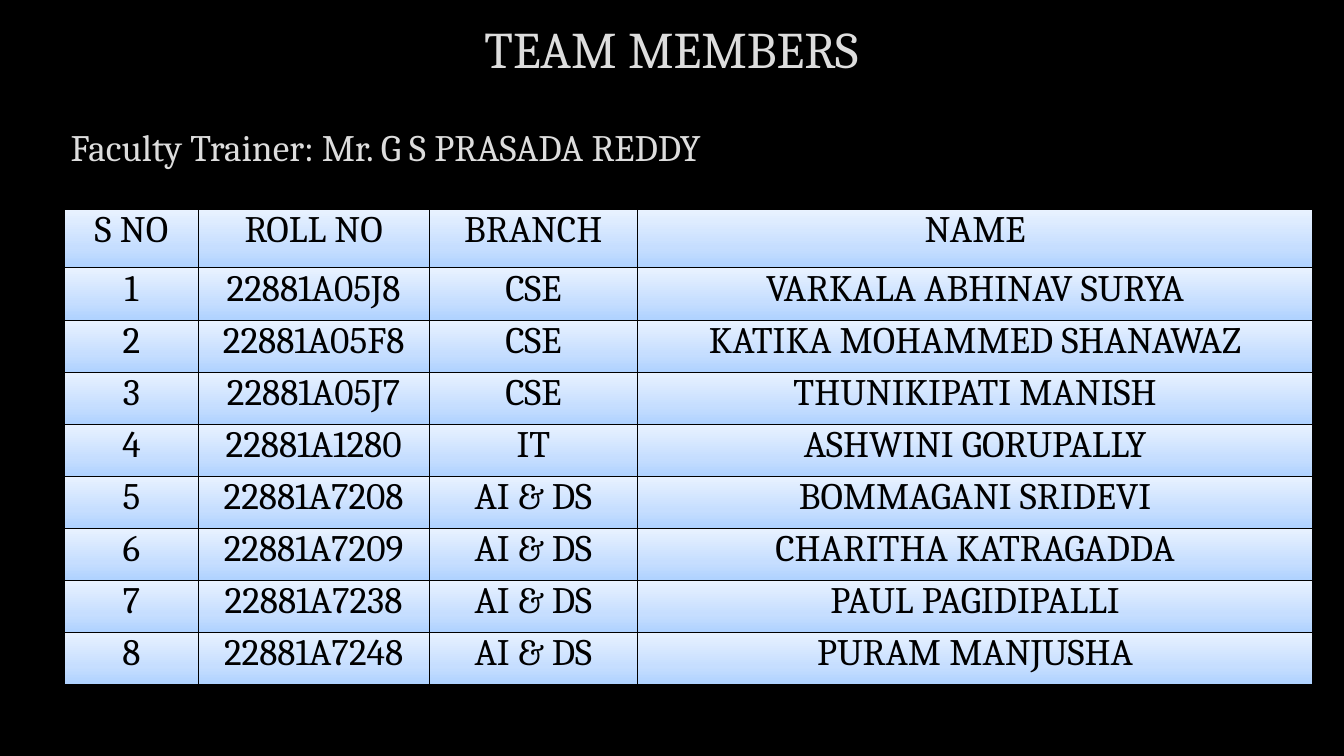
from lxml.etree import SubElement
from pptx import Presentation
from pptx.dml.color import RGBColor
from pptx.enum.text import MSO_AUTO_SIZE as AutoSize, PP_ALIGN as Align
from pptx.oxml.ns import qn
from pptx.util import Inches, Pt

BLACK = RGBColor(0x00, 0x00, 0x00)
LIGHT_GREY = RGBColor(0xDD, 0xDD, 0xDD)
BLUE = RGBColor(0xAF, 0xD2, 0xFF)
MID_BLUE = RGBColor(0xC6, 0xDE, 0xFF)
PALE_BLUE = RGBColor(0xE9, 0xF2, 0xFF)
GRADIENT = [(0, BLUE), (35, MID_BLUE), (100, PALE_BLUE)]

COLUMN_WIDTHS = [1.59, 2.75, 2.48, 8.04]
HEADER_HEIGHT, ROW_HEIGHT = 0.7, 0.62
HEADINGS = ("S NO", "ROLL NO", "BRANCH", "NAME")
MEMBERS = [
    ("22881A05J8", "CSE", "VARKALA ABHINAV SURYA"),
    ("22881A05F8", "CSE", "KATIKA MOHAMMED SHANAWAZ"),
    ("22881A05J7", "CSE", "THUNIKIPATI MANISH"),
    ("22881A1280", "IT", "ASHWINI GORUPALLY"),
    ("22881A7208", "AI & DS", "BOMMAGANI SRIDEVI"),
    ("22881A7209", "AI & DS", "CHARITHA KATRAGADDA"),
    ("22881A7238", "AI & DS", "PAUL PAGIDIPALLI"),
    ("22881A7248", "AI & DS", "PURAM MANJUSHA"),
]


class SlideBuilder:
    """Adds styled text and tables to one slide."""

    font_name = "Cambria"

    def __init__(self, slide):
        self.slide = slide

    def background(self, color):
        fill = self.slide.background.fill
        fill.solid()
        fill.fore_color.rgb = color

    def add_text(self, frame, text, size, color, align, inset):
        frame.margin_left = frame.margin_right = Inches(inset)
        frame.margin_top = frame.margin_bottom = Inches(inset)
        paragraph = frame.paragraphs[0]
        paragraph.alignment = align
        run = paragraph.add_run()
        run.text = text
        run.font.name = self.font_name
        run.font.size = Pt(size)
        run.font.color.rgb = color

    def text_box(self, text, left, top, width, height, size, align=Align.LEFT, wrap=True):
        box = self.slide.shapes.add_textbox(
            Inches(left), Inches(top), Inches(width), Inches(height))
        frame = box.text_frame
        frame.word_wrap = wrap
        frame.auto_size = AutoSize.SHAPE_TO_FIT_TEXT
        self.add_text(frame, text, size, LIGHT_GREY, align, 0.05)

    def style_cell(self, cell):
        properties = cell._tc.get_or_add_tcPr()
        for side in ("a:lnL", "a:lnR", "a:lnT", "a:lnB"):
            line = SubElement(properties, qn(side), w=str(Pt(1)))
            fill = SubElement(line, qn("a:solidFill"))
            SubElement(fill, qn("a:srgbClr"), val=str(BLACK))
        gradient = SubElement(properties, qn("a:gradFill"), rotWithShape="1")
        stops = SubElement(gradient, qn("a:gsLst"))
        for position, color in GRADIENT:
            stop = SubElement(stops, qn("a:gs"), pos=str(position * 1000))
            SubElement(stop, qn("a:srgbClr"), val=str(color))
        SubElement(gradient, qn("a:lin"), ang=str(270 * 60000), scaled="0")

    def table(self, rows, left, top, size):
        heights = [HEADER_HEIGHT] + [ROW_HEIGHT] * (len(rows) - 1)
        table = self.slide.shapes.add_table(
            len(rows), len(COLUMN_WIDTHS), Inches(left), Inches(top),
            Inches(sum(COLUMN_WIDTHS)), Inches(sum(heights))).table
        table.horz_banding = False
        for column, width in zip(table.columns, COLUMN_WIDTHS):
            column.width = Inches(width)
        for table_row, height, values in zip(table.rows, heights, rows):
            table_row.height = Inches(height)
            for cell, value in zip(table_row.cells, values):
                self.style_cell(cell)
                cell.margin_left = cell.margin_right = 0
                cell.margin_top = cell.margin_bottom = 0
                self.add_text(cell.text_frame, value, size, BLACK, Align.CENTER, 0)


def main():
    presentation = Presentation()
    presentation.slide_width = Inches(16)
    presentation.slide_height = Inches(9)
    builder = SlideBuilder(presentation.slides.add_slide(presentation.slide_layouts[6]))
    builder.background(BLACK)
    builder.text_box("Faculty Trainer: Mr. G S PRASADA REDDY", 0.79, 1.43, 9.24, 0.68, 32)
    rows = [HEADINGS] + [(str(number), *member) for number, member in enumerate(MEMBERS, 1)]
    builder.table(rows, 0.77, 2.49, 32)
    builder.text_box("TEAM MEMBERS", 5.46, 0.16, 5.07, 0.91, 44, Align.CENTER, wrap=False)
    presentation.save("out.pptx")


if __name__ == "__main__":
    main()
